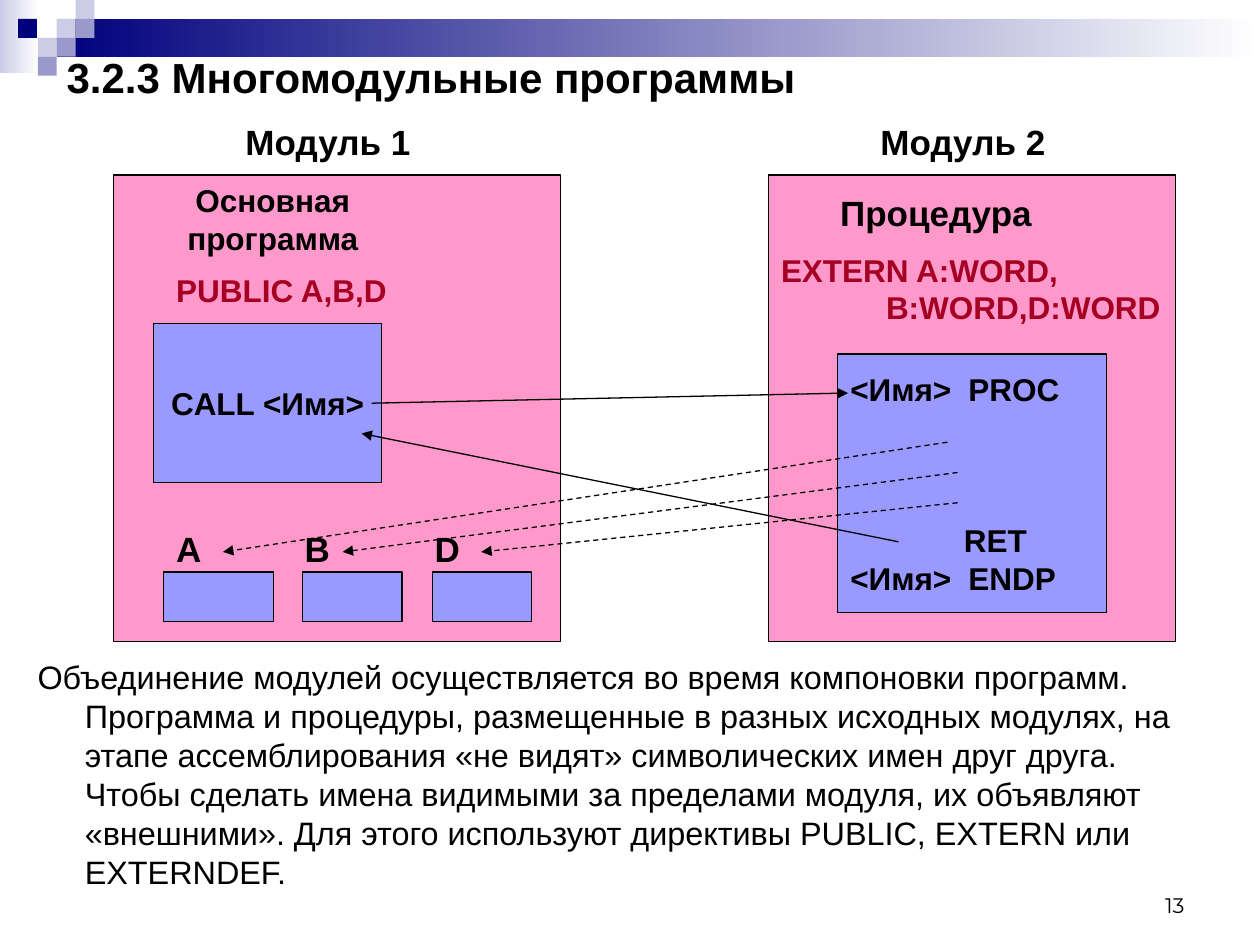
from lxml import etree
from pptx import Presentation
from pptx.dml.color import RGBColor
from pptx.enum import dml, shapes, text
from pptx.oxml import ns
from pptx.util import Pt


class Theme:
    black, navy, white = "000000", "00007D", "FFFFFF"
    pale, mid = "CCCCE6", "9999CC"
    pink, blue, red = "FF99CC", "9999FF", "A50021"
    font, numfont = "Arial", "Montserrat"
    title, head, code, body, num = 24, 20, 18, 18.5, 12
    line = 0.75


LEFT, MID, RIGHT = text.PP_ALIGN.LEFT, text.PP_ALIGN.CENTER, text.PP_ALIGN.RIGHT
TOP, CENTER, BOTTOM = (text.MSO_ANCHOR.TOP, text.MSO_ANCHOR.MIDDLE,
                       text.MSO_ANCHOR.BOTTOM)

deck = Presentation()
deck.slide_width, deck.slide_height = Pt(720), Pt(540)
slide = deck.slides.add_slide(deck.slide_layouts[6])


def block(x, y, w, h, fill, edge=True, fade=False):
    rect = slide.shapes.add_shape(shapes.MSO_SHAPE.RECTANGLE,
                                  Pt(x), Pt(y), Pt(w), Pt(h))
    rect.shadow.inherit = False
    if fade:
        rect.fill.gradient()
        rect.fill.gradient_angle = 0
        for stop, color in zip(rect.fill.gradient_stops, (fill, Theme.white)):
            stop.color.rgb = RGBColor.from_string(color)
    else:
        rect.fill.solid()
        rect.fill.fore_color.rgb = RGBColor.from_string(fill)
    if edge:
        rect.line.color.rgb = RGBColor.from_string(Theme.black)
        rect.line.width = Pt(Theme.line)
    else:
        rect.line.fill.background()
    return rect


def write(shape, lines, size, color=Theme.black, bold=True, align=LEFT,
          anchor=TOP, font=Theme.font):
    frame = shape.text_frame
    frame.word_wrap = True
    frame.vertical_anchor = anchor
    for i, line in enumerate(lines):
        para = frame.add_paragraph() if i else frame.paragraphs[0]
        para.alignment = align
        run = para.add_run()
        run.text = line
        run.font.size, run.font.bold, run.font.name = Pt(size), bold, font
        run.font.color.rgb = RGBColor.from_string(color)
    return frame.paragraphs


# Header band and mosaic
block(0, 0, 22.3, 41.8, Theme.pale, edge=False, fade=True)
block(32.4, 10.8, 687.6, 21.6, Theme.navy, edge=False, fade=True)
tile = 10.8
for x, y, color in [(32.4, 10.8, Theme.pale), (43.2, 0, Theme.pale),
                    (43.2, 10.8, Theme.mid), (21.6, 21.6, Theme.pale),
                    (10.3, 10.8, Theme.navy), (32.4, 21.6, Theme.mid),
                    (21.6, 32.4, Theme.mid)]:
    block(x, y, tile, tile, color, edge=False)

# Modules
for x, w in [(64.8, 255.6), (439.2, 232.6)]:
    block(x, 100, w, 266.6, Theme.pink)

# Calling code
call = block(87.8, 185, 130.4, 90.7, Theme.blue)
write(call, ["CALL <Имя>"], Theme.code, align=MID, anchor=CENTER)

# Procedure body
proc = block(478.8, 202.3, 153.4, 147.6, Theme.blue)
rows = write(proc, ["<Имя>\tPROC", "RET", "<Имя>\tENDP"], Theme.code,
             anchor=CENTER)
for row in (rows[0], rows[2]):
    tabs = etree.SubElement(row._p.get_or_add_pPr(), ns.qn("a:tabLst"))
    etree.SubElement(tabs, ns.qn("a:tab"), pos=str(Pt(67.5)), algn="l")
rows[1].space_before = Pt(65)
rows[1]._p.get_or_add_pPr().set("marL", str(Pt(65)))

# Variables
for x, w in [(93.6, 62.6), (172.8, 56.9), (247, 56.9)]:
    block(x, 326.9, w, 28.1, Theme.blue)

# Captions
for x, y, w, h, line, size, color, align in [
        (93.6, 100, 124.6, 50.4, "Основная программа", Theme.code, Theme.black, MID),
        (473, 105.8, 153.4, 31.7, "Процедура", Theme.head, Theme.black, LEFT),
        (93.6, 298, 39.6, 31.7, "A", Theme.head, Theme.black, LEFT),
        (167, 298, 39.6, 31.7, "B", Theme.head, Theme.black, LEFT),
        (241.2, 298, 39.6, 31.7, "D", Theme.head, Theme.black, LEFT),
        (496, 65.5, 161.3, 31.7, "Модуль 2", Theme.head, Theme.black, LEFT),
        (133.2, 65.5, 184.3, 31.7, "Модуль 1", Theme.head, Theme.black, LEFT),
        (93.6, 151.2, 193, 28.8, "PUBLIC A,B,D", Theme.code, Theme.red, LEFT)]:
    label = slide.shapes.add_textbox(Pt(x), Pt(y), Pt(w), Pt(h))
    write(label, [line], size, color, align=align)

# External names
names = slide.shapes.add_textbox(Pt(439.2), Pt(139.7), Pt(238.3), Pt(50.4))
rows = write(names, ["EXTERN A:WORD,", "B:WORD,D:WORD"], Theme.code, Theme.red)
rows[1]._p.get_or_add_pPr().set("marL", str(Pt(60)))

# Call, return and data arrows
for x1, y1, x2, y2, dash in [(212.4, 230.4, 484.6, 224.6, False),
                             (513.4, 309.6, 206.6, 247.7, False),
                             (541.4, 252.7, 127.4, 315.4, True),
                             (547.2, 270, 195.8, 315.4, True),
                             (547.2, 287.3, 275, 315.4, True)]:
    arrow = slide.shapes.add_connector(shapes.MSO_CONNECTOR.STRAIGHT,
                                       Pt(x1), Pt(y1), Pt(x2), Pt(y2))
    arrow.line.color.rgb = RGBColor.from_string(Theme.black)
    arrow.line.width = Pt(Theme.line)
    if dash:
        arrow.line.dash_style = dml.MSO_LINE.DASH
    etree.SubElement(arrow.line._get_or_add_ln(), ns.qn("a:tailEnd"),
                     type="triangle")
    etree.SubElement(arrow._element.spPr, ns.qn("a:effectLst"))

# Title
title = slide.shapes.add_textbox(Pt(31), Pt(27), Pt(653.8), Pt(33.8))
write(title, ["3.2.3 Многомодульные программы"], Theme.title, anchor=CENTER)

# Explanation with hanging indent
body = slide.shapes.add_textbox(Pt(14.4), Pt(372.2), Pt(679.7), Pt(147.6))
rows = write(body, [
    "Объединение модулей осуществляется во время компоновки программ. "
    "Программа и процедуры, размещенные в разных исходных модулях, на этапе "
    "ассемблирования «не видят» символических имен друг друга. Чтобы сделать "
    "имена видимыми за пределами модуля, их объявляют «внешними». Для этого "
    "используют директивы PUBLIC, EXTERN или EXTERNDEF."],
    Theme.body, bold=False)
rows[0].space_before = Pt(5)
props = rows[0]._p.get_or_add_pPr()
props.set("marL", str(Pt(27)))
props.set("indent", str(Pt(-27)))

# Slide number
page = slide.shapes.add_textbox(Pt(516.2), Pt(491.8), Pt(167.8), Pt(36))
write(page, ["13"], Theme.num, bold=False, align=RIGHT, anchor=BOTTOM,
      font=Theme.numfont)

deck.save("out.pptx")
